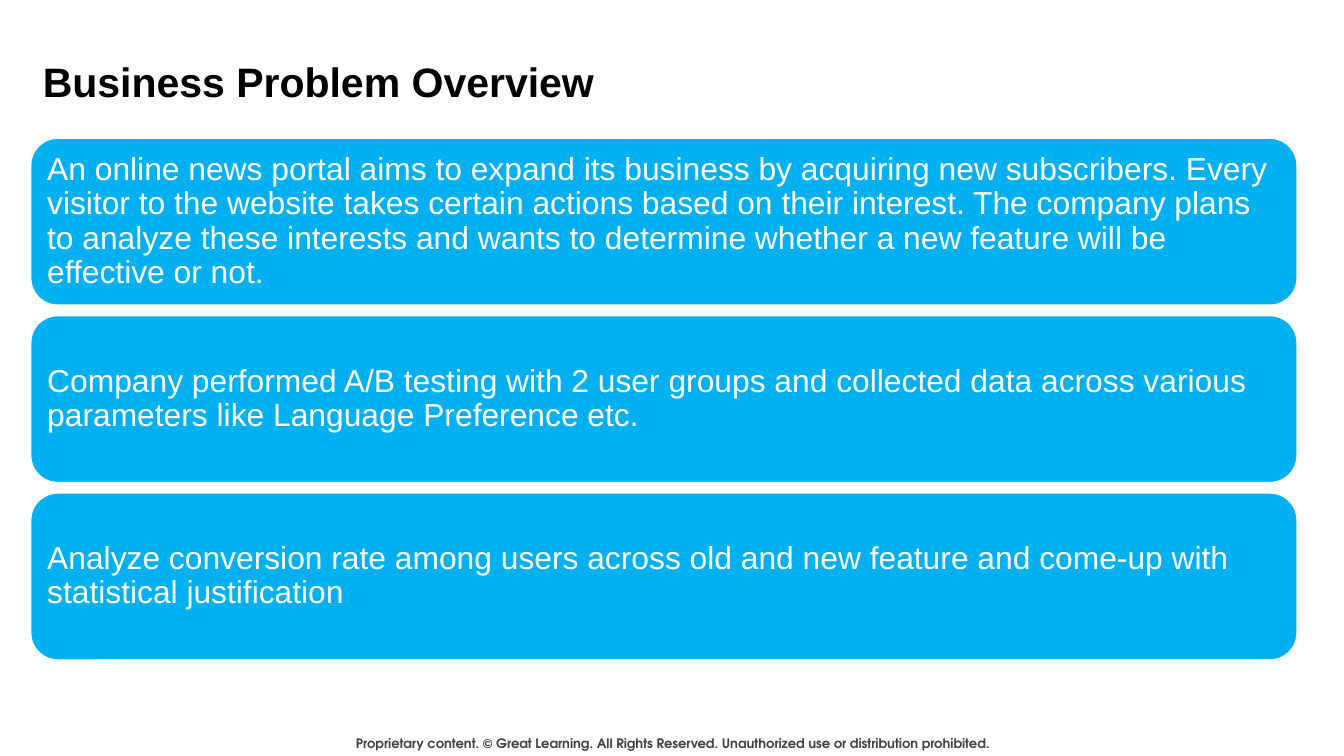
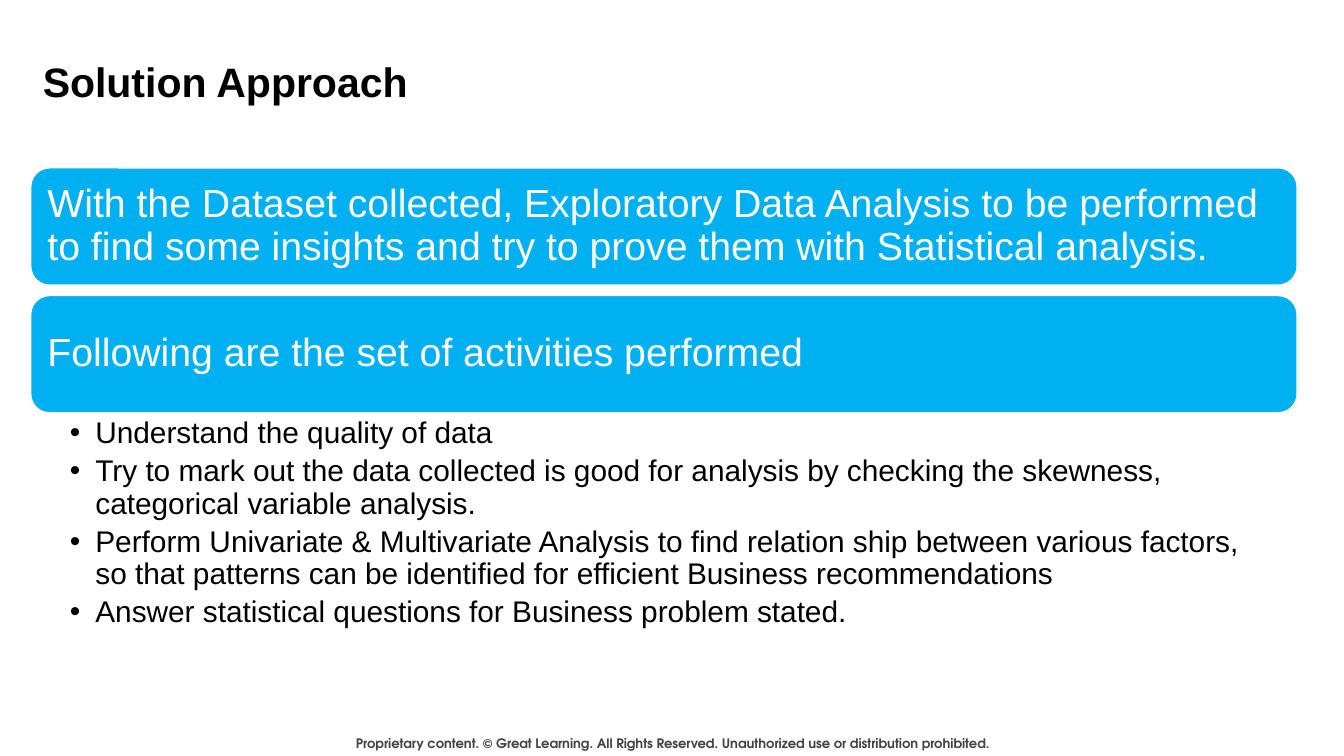
from lxml import etree
from pptx import Presentation
from pptx import util as u
from pptx.dml.color import RGBColor
from pptx.enum import shapes, text
from pptx.oxml.ns import qn

BLUE, WHITE, BLACK, GREY = "00B0F0", "FFFFFF", "000000", "434343"
LEFT, WIDE = 0.22, 9.44

TITLE = {"name": "Arial", "size": u.Pt(22), "bold": True}
NOTE = {"name": "TeX Gyre Adventor", "size": u.Pt(7), "bold": True}
FOOT = ("Proprietary content. © Great Learning. All Rights Reserved. "
        "Unauthorized use or distribution prohibited.")

# Each slide: title, band top, band height, band step, inset, size, bands, bullets
PAGES = [
    ("Business Problem Overview", 1.02, 1.26, 1.32, 0.07, 17, [
        "An online news portal aims to expand its business by acquiring new "
        "subscribers. Every visitor to the website takes certain actions based on "
        "their interest. The company plans to analyze these interests and wants to "
        "determine whether a new feature will be effective or not.",
        "Company performed A/B testing with 2 user groups and collected data across "
        "various parameters like Language Preference etc.",
        "Analyze conversion rate among users across old and new feature and come-up "
        "with statistical justification",
    ], []),
    ("Solution Approach", 1.24, 0.89, 0.95, 0.09, 21, [
        "With the Dataset collected, Exploratory Data Analysis to be performed to "
        "find some insights and try to prove them with Statistical analysis.",
        "Following are the set of activities performed",
    ], [
        "Understand the quality of data",
        "Try to mark out the data collected is good for analysis by checking the "
        "skewness, categorical variable analysis.",
        "Perform Univariate & Multivariate Analysis to find relation ship between "
        "various factors, so that patterns can be identified for efficient Business "
        "recommendations",
        "Answer statistical questions for Business problem stated.",
    ]),
]


def rgb(code):
    return RGBColor.from_string(code)


def write(shape, lines, font, color, insets, para, bullet=False):
    """Fill a shape with paragraphs; insets run left, top, right, bottom."""
    frame = shape.text_frame
    frame.word_wrap = True
    for side, inset in zip(("left", "top", "right", "bottom"), insets):
        setattr(frame, "margin_" + side, u.Inches(inset))
    for i, line in enumerate(lines):
        p = frame.add_paragraph() if i else frame.paragraphs[0]
        if bullet:
            props = p._p.get_or_add_pPr()
            props.set("marL", str(u.Inches(0.19)))
            props.set("indent", str(-u.Inches(0.19)))
            tint = etree.SubElement(props, qn("a:buClr"))
            etree.SubElement(tint, qn("a:srgbClr"), val=color)
            etree.SubElement(props, qn("a:buFont"), typeface="Arial")
            etree.SubElement(props, qn("a:buChar"), char="•")
        for key, value in para.items():
            setattr(p, key, value)
        run = p.add_run()
        run.text = line
        for key, value in font.items():
            setattr(run.font, key, value)
        run.font.color.rgb = rgb(color)


deck = Presentation()
deck.slide_width = u.Inches(10)
deck.slide_height = deck.slide_width * 9 // 16

for title, top, high, step, inset, size, bands, points in PAGES:
    slide = deck.slides.add_slide(deck.slide_layouts[6])

    foot = slide.shapes.add_textbox(*map(u.Inches, (2.45, 5.41, 5.11, 0.3)))
    write(foot, [FOOT], NOTE, GREY, [0.1] * 4,
          {"alignment": text.PP_ALIGN.CENTER, "line_spacing": 1.02})

    head = slide.shapes.add_textbox(*map(u.Inches, (LEFT, 0.32, 9.32, 0.63)))
    write(head, [title], TITLE, BLACK, [0.1] * 4, {})

    for i, words in enumerate(bands):
        band = slide.shapes.add_shape(
            shapes.MSO_SHAPE.ROUNDED_RECTANGLE,
            *map(u.Inches, (LEFT, top + i * step, WIDE, high)))
        band.shadow.inherit = False
        band.fill.solid()
        band.fill.fore_color.rgb = rgb(BLUE)
        band.line.color.rgb = rgb(WHITE)
        band.line.width = u.Pt(2)
        band.text_frame.vertical_anchor = text.MSO_ANCHOR.MIDDLE
        write(band, [words], {"name": "Arial", "size": u.Pt(size)}, WHITE, [inset] * 4,
              {"alignment": text.PP_ALIGN.LEFT, "line_spacing": 0.9})

    if points:
        base = top + (len(bands) - 1) * step + high
        tasks = slide.shapes.add_textbox(*map(u.Inches, (LEFT, base, WIDE, 1.62)))
        write(tasks, points, {"name": "Arial", "size": u.Pt(16)}, BLACK,
              (0.3, 0.03, 0.16, 0.03),
              {"level": 1, "line_spacing": 0.9, "space_after": u.Pt(3.2)}, bullet=True)

deck.save("out.pptx")
